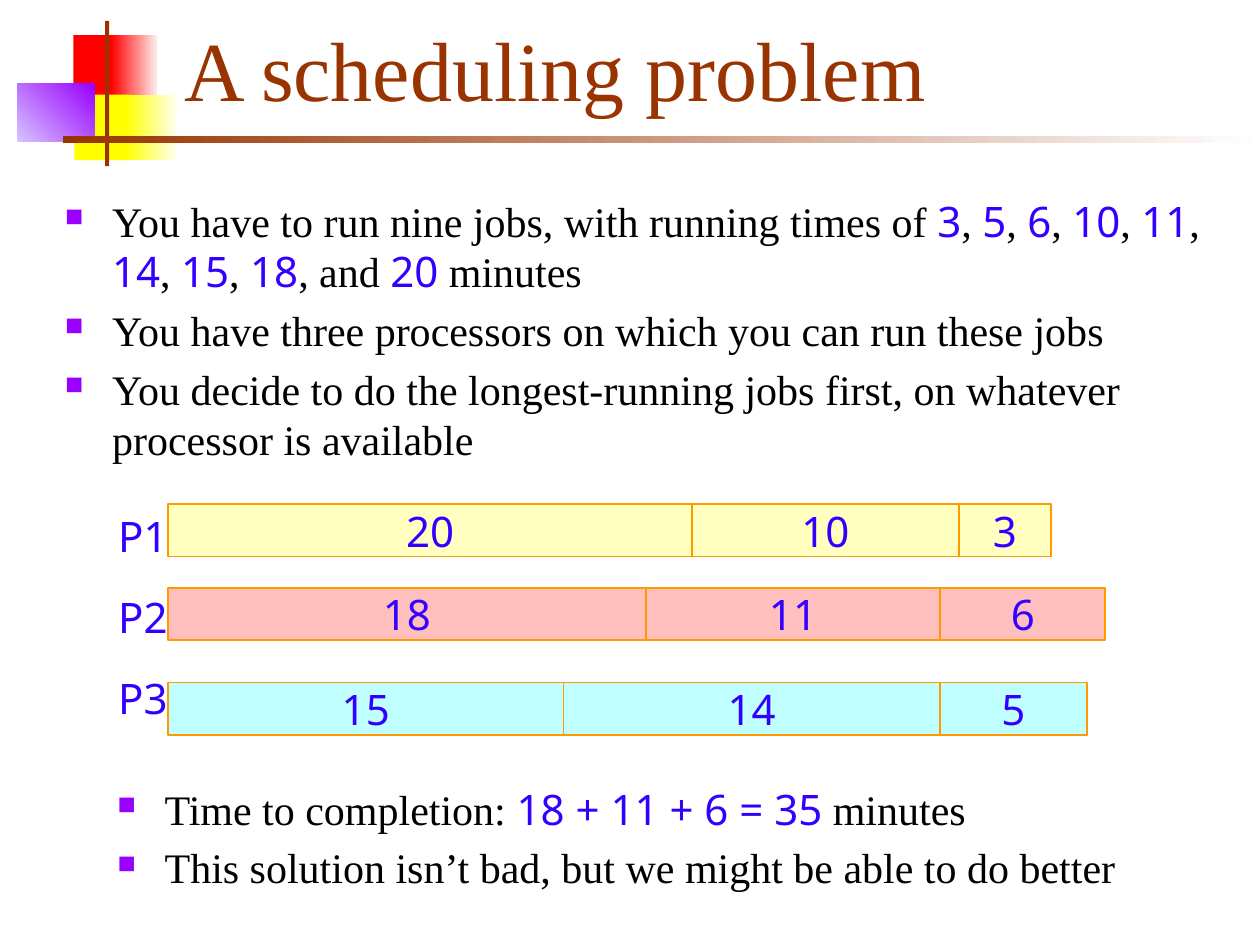
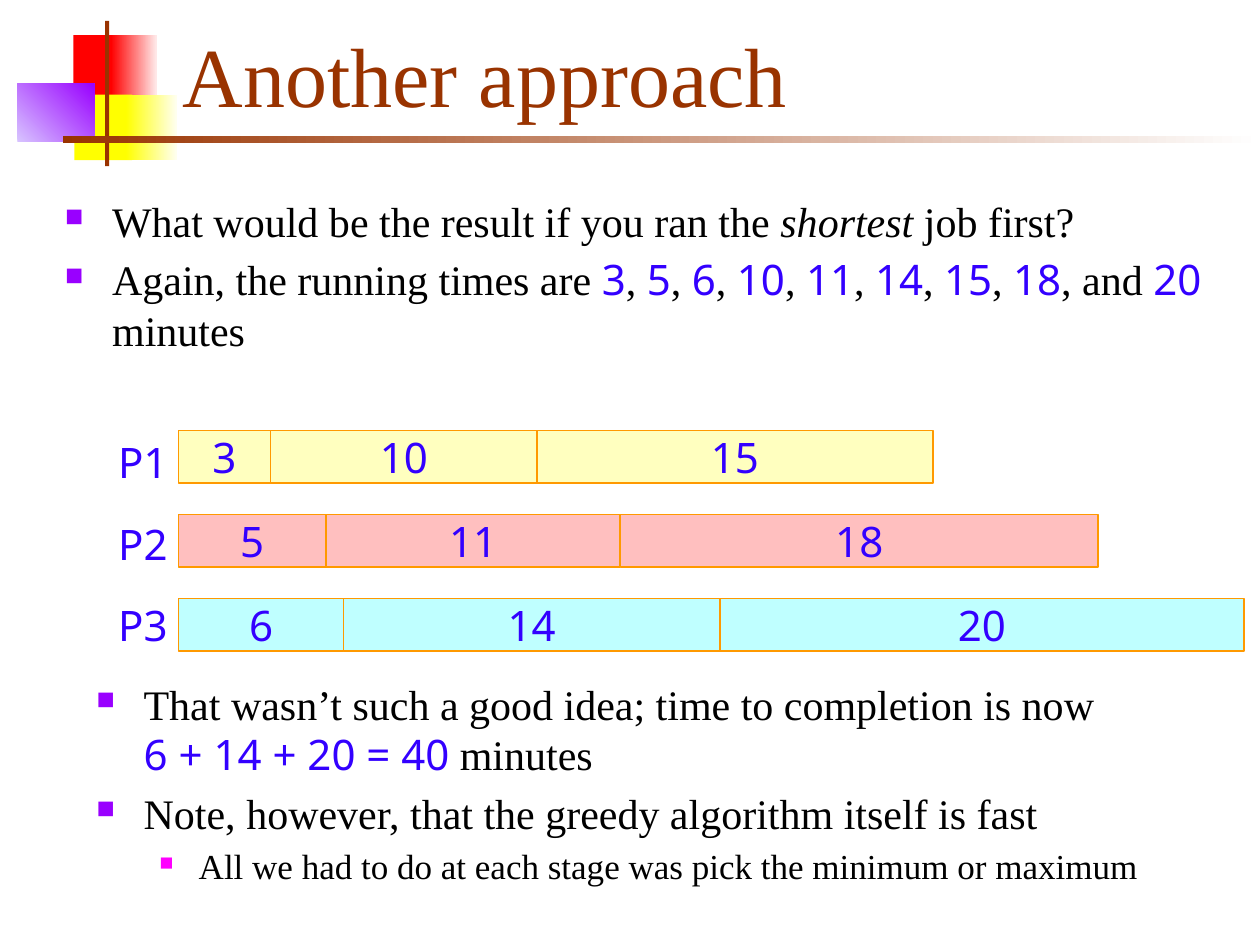
from lxml.etree import SubElement
from pptx import Presentation
from pptx.dml.color import RGBColor
from pptx.enum.shapes import MSO_SHAPE as SHAPE
from pptx.enum.text import MSO_ANCHOR as ANCHOR, MSO_AUTO_SIZE as AUTO, PP_ALIGN as ALIGN
from pptx.oxml.ns import qn
from pptx.util import Pt

SERIF, SANS = "Times New Roman", "Noto Sans"
BROWN, BLUE, BLACK, ORANGE = "993300", "3300FF", "000000", "FF9900"
ROW_FILLS = ["FFFFBF", "FFBFBF", "BFFFFF"]
TITLE_ONLY = 5

# Bar width for each running time in minutes
JOB_WIDTHS = {3: 52.6, 5: 84.2, 6: 94.3, 10: 152.4, 11: 168.3,
              14: 215, 15: 226, 18: 273, 20: 299.5}
BAR_HEIGHT = 30

# For each level: text size, left margin, hanging indent, bullet colour, bullet percent
LEVELS = [(24, 27, 27, "9900FF", 60), (20, 58.5, 22.5, "FF00FF", 55)]

# Master decoration: box, start colour, end colour (or None), angle
DECORATION = [
    ((42, 20, 25, 37.5), "FF0000", None, 0),
    ((63.5, 20, 26, 37.5), "FF0000", "FFEAEA", 0),
    ((42.5, 54, 33, 37.5), "FFFF00", None, 0),
    ((72, 54, 29, 37.5), "FFFF00", "FFFFF0", 0),
    ((10, 48, 44, 33), "D8C4FF", "9900FF", 45),
    ((60, 12, 2.4, 83), BROWN, None, 0),
    ((36, 78, 684, 3.8), BROWN, "FFFFFF", 0),
]


def rgb(value):
    """Turn a hex string into a colour."""
    return RGBColor.from_string(value)


def points(box):
    """Turn a box of numbers into lengths in points."""
    return [Pt(n) for n in box]


def style_run(r, size, font, color, italic=None):
    """Format one run."""
    r.font.size, r.font.name, r.font.italic = Pt(size), font, italic
    r.font.color.rgb = rgb(color)


def add_rect(slide, box, fill, end=None, angle=0):
    """Add a plain or gradient rectangle without line or shadow."""
    sp = slide.shapes.add_shape(SHAPE.RECTANGLE, *points(box))
    sp.shadow.inherit = False
    sp.line.fill.background()
    if end:
        sp.fill.gradient()
        sp.fill.gradient_angle = angle
        for stop, color in zip(sp.fill.gradient_stops, (fill, end)):
            stop.color.rgb = rgb(color)
    else:
        sp.fill.solid()
        sp.fill.fore_color.rgb = rgb(fill)
    return sp


def decorate_layout(layout, slide):
    """Draw the decoration and move it behind the layout's placeholders."""
    for i, (box, fill, end, angle) in enumerate(DECORATION):
        element = add_rect(slide, box, fill, end, angle).element
        element.xpath("p:nvSpPr/p:cNvPr")[0].set("id", str(100 + i))
        layout.shapes.element.insert(2 + i, element)


def set_title(slide, box, text):
    """Place and format the title placeholder."""
    sp = slide.shapes.title
    sp.left, sp.top, sp.width, sp.height = points(box)
    tf = sp.text_frame
    tf.text = text
    tf.auto_size, tf.vertical_anchor = AUTO.NONE, ANCHOR.MIDDLE
    p = tf.paragraphs[0]
    p.alignment = ALIGN.LEFT
    style_run(p.runs[0], 48, SERIF, BROWN)


def set_bullet(p, level):
    """Give a paragraph its level, spacing, indent and square bullet."""
    size, margin, hang, color, percent = LEVELS[level]
    p.level = level
    p.space_before = Pt(0.2 * size)
    pPr = p._p.get_or_add_pPr()
    pPr.set("marL", str(Pt(margin)))
    pPr.set("indent", str(-Pt(hang)))
    SubElement(SubElement(pPr, qn("a:buClr")), qn("a:srgbClr"), val=color)
    SubElement(pPr, qn("a:buSzPct"), val=str(percent * 1000))
    SubElement(pPr, qn("a:buChar"), char="■")


def add_marked_text(p, text, size):
    """Add runs: |numbers| in blue sans, *words* in italics, a newline as a break."""
    for i, part in enumerate(text.split("|")):
        font, color = (SANS, BLUE) if i % 2 else (SERIF, BLACK)
        for j, piece in enumerate(part.split("*")):
            if piece.startswith("\n"):
                p.add_line_break()
            if piece:
                r = p.add_run()
                r.text = piece.lstrip("\n")
                style_run(r, size, font, color, True if j % 2 else None)


def add_bullets(slide, box, items):
    """Add a bulleted text box from (level, marked text) pairs."""
    tf = slide.shapes.add_textbox(*points(box)).text_frame
    tf.word_wrap = True
    for i, (level, text) in enumerate(items):
        p = tf.add_paragraph() if i else tf.paragraphs[0]
        set_bullet(p, level)
        add_marked_text(p, text, LEVELS[level][0])


def add_job(slide, box, minutes, fill):
    """Add one job bar with its running time."""
    sp = add_rect(slide, box, fill)
    sp.line.color.rgb = rgb(ORANGE)
    sp.line.width = Pt(1)
    tf = sp.text_frame
    tf.text = str(minutes)
    tf.word_wrap, tf.vertical_anchor = False, ANCHOR.MIDDLE
    tf.margin_top = tf.margin_bottom = 0
    p = tf.paragraphs[0]
    p.alignment = ALIGN.CENTER
    style_run(p.runs[0], 24, SANS, BLUE)


def add_schedule(slide, left, tops, rows):
    """Add a row of job bars for each processor, and the processor labels."""
    for top, jobs, fill in zip(tops, rows, ROW_FILLS):
        x = left
        for minutes in jobs:
            width = JOB_WIDTHS[minutes]
            add_job(slide, (x, top, width, BAR_HEIGHT), minutes, fill)
            x += width
    tf = slide.shapes.add_textbox(*points((60.5, tops[0] - 5.8, 47.5, 139))).text_frame
    tf.word_wrap = True
    tf.text = "\n".join(f"P{n + 1}" for n in range(len(rows)))
    for p in tf.paragraphs:
        p.line_spacing, p.space_before = 1.2, Pt(12)
        style_run(p.runs[0], 24, SANS, BLUE)


prs = Presentation()
prs.slide_width, prs.slide_height = Pt(720), Pt(540)
layout = prs.slide_layouts[TITLE_ONLY]
*first_times, last_time = sorted(JOB_WIDTHS)
times = ", ".join(f"|{t}|" for t in first_times) + f", and |{last_time}| minutes"

s = prs.slides.add_slide(layout)
decorate_layout(layout, s)
set_title(s, (98, 8.7, 613.5, 60), "A scheduling problem")
add_bullets(s, (30, 108, 675.5, 166), [
    (0, f"You have to run nine jobs, with running times of {times}"),
    (0, "You have three processors on which you can run these jobs"),
    (0, "You decide to do the longest-running jobs first, on whatever processor is available"),
])
add_schedule(s, 96, (288, 336, 390), [(20, 10, 3), (18, 11, 6), (15, 14, 5)])
add_bullets(s, (60, 444, 606, 84), [
    (0, "Time to completion: |18 + 11 + 6 = 35| minutes"),
    (0, "This solution isn’t bad, but we might be able to do better"),
])

s = prs.slides.add_slide(layout)
set_title(s, (97.3, 12, 613.5, 60), "Another approach")
add_bullets(s, (30, 108, 675.5, 113), [
    (0, "What would be the result if you ran the *shortest* job first?"),
    (0, f"Again, the running times are {times}"),
])
add_bullets(s, (48, 384, 618, 144), [
    (0, "That wasn’t such a good idea; time to completion is now|\n6 + 14 + 20 = 40| minutes"),
    (0, "Note, however, that the greedy algorithm itself is fast"),
    (1, "All we had to do at each stage was pick the minimum or maximum"),
])
add_schedule(s, 102, (246, 294, 342), [(3, 10, 15), (5, 11, 18), (6, 14, 20)])

prs.save("out.pptx")
